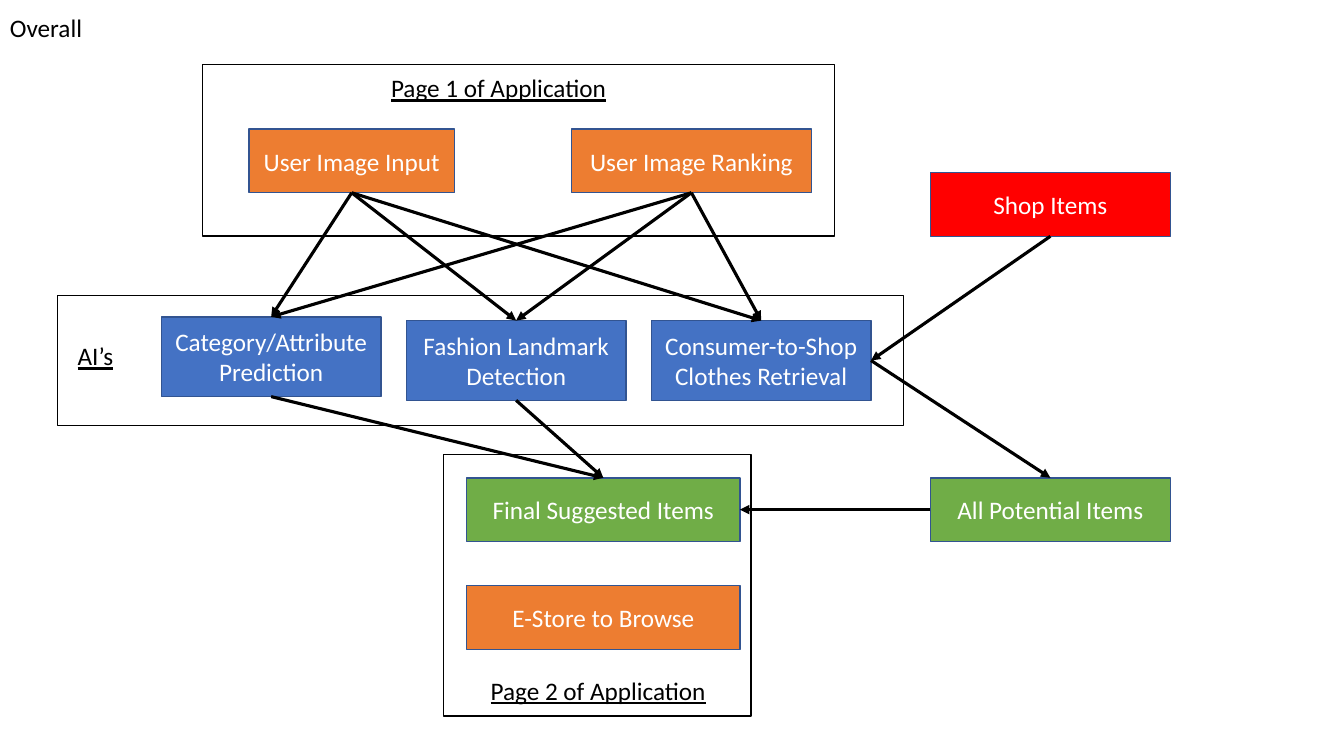
from dataclasses import dataclass

from lxml.etree import SubElement
from pptx import Presentation
from pptx.dml.color import RGBColor
from pptx.enum.shapes import MSO_CONNECTOR, MSO_SHAPE
from pptx.enum.text import MSO_ANCHOR, PP_ALIGN
from pptx.oxml.ns import qn
from pptx.util import Pt


@dataclass(frozen=True)
class Theme:
    font: str = "Calibri"
    size: float = 18
    ink: str = "000000"
    paper: str = "FFFFFF"
    outline: str = "325491"
    user: str = "ED7D31"
    model: str = "4472C4"
    shop: str = "FF0000"
    result: str = "70AD47"
    thin: float = 1
    thick: float = 2.25


THEME = Theme()
TOP, LEFT, BOTTOM, RIGHT = range(4)
STEP_HEIGHT = 45.5
MODEL_WIDTH, MODEL_HEIGHT = 157, 57
SIDE_LEFT, SIDE_WIDTH = 664.6, 171.4
RESULT_LEFT, RESULT_WIDTH = 333.4, 195.1
RESULT_TOP = 341.3
INPUT_TOP = 92.2


def write_text(shape, text, color=THEME.ink, align=PP_ALIGN.LEFT,
               anchor=MSO_ANCHOR.TOP, underline=None):
    frame = shape.text_frame
    frame.word_wrap = True
    frame.vertical_anchor = anchor
    para = frame.paragraphs[0]
    para.alignment = align
    span = para.add_run()
    span.text = text
    span.font.name = THEME.font
    span.font.size = Pt(THEME.size)
    span.font.color.rgb = RGBColor.from_string(color)
    span.font.underline = underline


def add_rectangle(page, left, top, width, height, line, fill=None):
    box = page.shapes.add_shape(MSO_SHAPE.RECTANGLE, Pt(left), Pt(top), Pt(width), Pt(height))
    box.shadow.inherit = False
    box.line.color.rgb = RGBColor.from_string(line)
    box.line.width = Pt(THEME.thin)
    if fill:
        box.fill.solid()
        box.fill.fore_color.rgb = RGBColor.from_string(fill)
    else:
        box.fill.background()
    return box


def add_step(page, text, left, top, width, fill, height=STEP_HEIGHT):
    box = add_rectangle(page, left, top, width, height, THEME.outline, fill)
    write_text(box, text, color=THEME.paper, align=PP_ALIGN.CENTER, anchor=MSO_ANCHOR.MIDDLE)
    return box


def add_label(page, text, left, top, width, underline=True):
    box = page.shapes.add_textbox(Pt(left), Pt(top), Pt(width), Pt(29))
    write_text(box, text, underline=underline)


def add_arrow(page, source, source_side, target, target_side):
    arrow = page.shapes.add_connector(MSO_CONNECTOR.STRAIGHT, 0, 0, 0, 0)
    arrow.begin_connect(source, source_side)
    arrow.end_connect(target, target_side)
    arrow.line.color.rgb = RGBColor.from_string(THEME.ink)
    arrow.line.width = Pt(THEME.thick)
    SubElement(arrow.line._get_or_add_ln(), qn("a:tailEnd"), type="triangle")
    SubElement(arrow._element.spPr, qn("a:effectLst"))


def main():
    deck = Presentation()
    deck.slide_width, deck.slide_height = Pt(960), Pt(540)
    page = deck.slides.add_slide(deck.slide_layouts[6])

    image_input = add_step(page, "User Image Input", 177.8, INPUT_TOP, 146.9, THEME.user)
    ranking = add_step(page, "User Image Ranking", 408.2, INPUT_TOP, SIDE_WIDTH, THEME.user)
    category, landmark, retrieval = [
        add_step(page, text, 115.2 + 175 * column, top, MODEL_WIDTH, THEME.model, MODEL_HEIGHT)
        for column, (text, top) in enumerate([
            ("Category/Attribute Prediction", 226.3),
            ("Fashion Landmark Detection", 229),
            ("Consumer-to-Shop Clothes Retrieval", 229),
        ])
    ]
    shop = add_step(page, "Shop Items", SIDE_LEFT, 123.3, SIDE_WIDTH, THEME.shop)
    potential = add_step(page, "All Potential Items", SIDE_LEFT, RESULT_TOP, SIDE_WIDTH,
                         THEME.result)
    suggested = add_step(page, "Final Suggested Items", RESULT_LEFT, RESULT_TOP, RESULT_WIDTH,
                         THEME.result)
    add_step(page, "E-Store to Browse", RESULT_LEFT, 418.4, RESULT_WIDTH, THEME.user)

    for source in (image_input, ranking):
        for target in (category, landmark, retrieval):
            add_arrow(page, source, BOTTOM, target, TOP)
    for source in (category, landmark):
        add_arrow(page, source, BOTTOM, suggested, TOP)
    add_arrow(page, shop, BOTTOM, retrieval, RIGHT)
    add_arrow(page, retrieval, RIGHT, potential, TOP)
    add_arrow(page, potential, LEFT, suggested, RIGHT)

    for frame in [
        (144.7, 46.3, 451.6, 122.4),
        (41.2, 211, 604.3, 92.8),
        (316.8, 324.8, 219.6, 186.6),
    ]:
        add_rectangle(page, *frame, THEME.ink)

    add_label(page, "Overall", 0, 5.2, 717, underline=None)
    add_label(page, "Page 1 of Application", 272.2, 48.4, 193)
    add_label(page, "AI’s", 48.4, 239.8, 55.4)
    add_label(page, "Page 2 of Application", 343.4, 478.8, 193)

    deck.save("out.pptx")


main()
